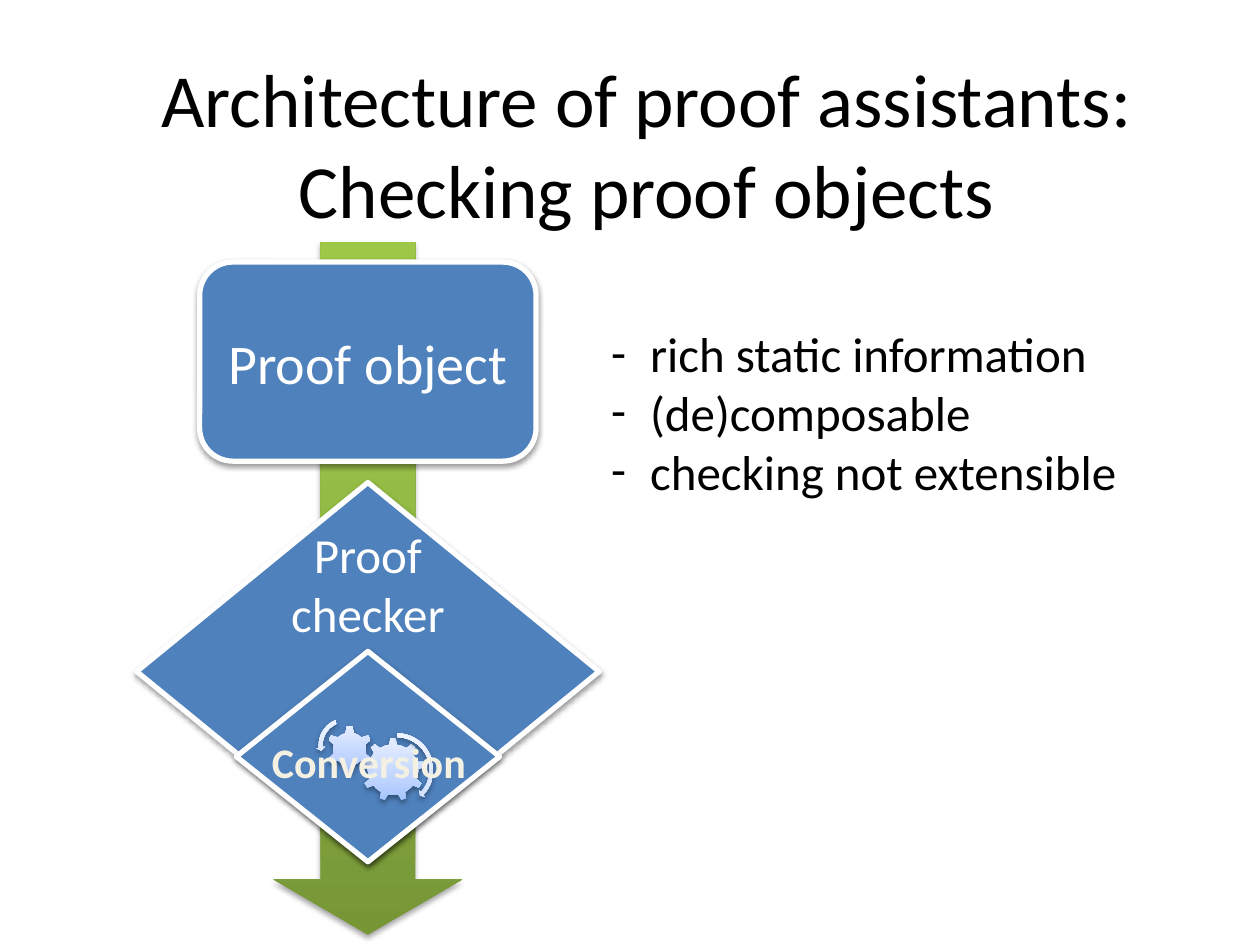
from lxml import etree
from pptx import Presentation
from pptx.dml.color import RGBColor
from pptx.enum.shapes import MSO_SHAPE
from pptx.enum.text import MSO_ANCHOR, MSO_AUTO_SIZE, PP_ALIGN
from pptx.oxml.ns import qn
from pptx.util import Emu, Inches, Pt

DOWN_ARROW, ROUND_RECT, DIAMOND = (
    MSO_SHAPE.DOWN_ARROW, MSO_SHAPE.ROUNDED_RECTANGLE, MSO_SHAPE.DIAMOND)
GEAR_6, GEAR_9 = MSO_SHAPE.GEAR_6, MSO_SHAPE.GEAR_9
TURN_RIGHT, TURN_LEFT = MSO_SHAPE.CIRCULAR_ARROW, MSO_SHAPE.LEFT_CIRCULAR_ARROW
TOP, MIDDLE, BOTTOM = MSO_ANCHOR.TOP, MSO_ANCHOR.MIDDLE, MSO_ANCHOR.BOTTOM
CENTER, LEFT = PP_ALIGN.CENTER, PP_ALIGN.LEFT
NO_FIT, GROW = MSO_AUTO_SIZE.NONE, MSO_AUTO_SIZE.SHAPE_TO_FIT_TEXT

FONT = "Calibri"
COLORS = {"step": "4F81BD", "white": "FFFFFF", "black": "000000",
          "label": "F4F1E3", "label_edge": "054697"}
# Gradient stops run from bottom to top: (percent, colour)
FLOW_GREEN = [(0, "779737"), (80, "9BC348"), (100, "9DC746")]
GEAR_BLUE = [(0, "A4C4FF"), (35, "BFD4FF"), (100, "E6EEFF")]
TURN_BLUE = [(0, "CDDDFE"), (35, "DBE6FE"), (100, "F0F5FF")]
AXIS = 2.92  # centre of the flow, in inches


def rgb(name):
    return RGBColor.from_string(COLORS[name])


def on_axis(top, width, height):
    return AXIS - width / 2, top, width, height


def place(shape, box):
    shape.left, shape.top, shape.width, shape.height = map(Inches, box)


def add_color(parent, value):
    return etree.SubElement(parent, qn("a:srgbClr"), val=value)


def add_shadow(shape, opacity=38, distance=20000):
    shape.shadow.inherit = False
    effects = shape._element.spPr.find(qn("a:effectLst"))
    shadow = etree.SubElement(effects, qn("a:outerShdw"), blurRad="40000",
                              dist=str(distance), dir="5400000", rotWithShape="0")
    color = add_color(shadow, COLORS["black"])
    etree.SubElement(color, qn("a:alpha"), val=str(opacity * 1000))


def write(frame, lines, size, color, align=CENTER, anchor=MIDDLE, bold=False):
    frame.text = "\n".join(lines)
    frame.vertical_anchor = anchor
    for paragraph in frame.paragraphs:
        paragraph.alignment = align
        paragraph.space_before = Pt(0)
        font = paragraph.font
        font.name, font.size, font.bold = FONT, Pt(size), bold
        font.color.rgb = rgb(color)


def add_step(shapes, kind, box):
    step = shapes.add_shape(kind, *map(Inches, box))
    step.fill.solid()
    step.fill.fore_color.rgb = rgb("step")
    step.line.color.rgb = rgb("white")
    step.line.width = Pt(3)
    add_shadow(step)
    return step


def add_gradient_shape(shapes, kind, box, stops, adjustments=()):
    shape = shapes.add_shape(kind, *map(Inches, box))
    for index, value in enumerate(adjustments):
        shape.adjustments[index] = value
    shape.fill.gradient()
    shape.fill.gradient_angle = 90
    stop_list = shape._element.spPr.find(".//" + qn("a:gsLst"))
    stop_list.clear()
    for percent, value in stops:
        stop = etree.SubElement(stop_list, qn("a:gs"), pos=str(percent * 1000))
        add_color(stop, value)
    shape.line.fill.background()
    add_shadow(shape)
    return shape


def add_gears(shapes):
    gears = shapes.add_group_shape().shapes
    add_gradient_shape(gears, GEAR_9, (2.87, 5.86, 0.5, 0.5), GEAR_BLUE)
    add_gradient_shape(gears, GEAR_6, (2.59, 5.76, 0.37, 0.37), GEAR_BLUE)
    add_gradient_shape(gears, TURN_RIGHT, (2.84, 5.8, 0.62, 0.62), TURN_BLUE,
                       (0.049, 3.126, 25.891, 162.615, 0.057))
    add_gradient_shape(gears, TURN_LEFT, (2.51, 5.68, 0.47, 0.47), TURN_BLUE,
                       (0.065, 4.3, 104.891, 148.378, 0.075))


def fill_dash_list(body, box, lines):
    place(body, box)
    write(body.text_frame, lines, 28, "black", LEFT, TOP)
    body.text_frame.auto_size = GROW
    indent = Inches(0.31)
    for paragraph in body.text_frame.paragraphs:
        props = paragraph._p.get_or_add_pPr()
        props.set("marL", str(indent))
        props.set("indent", str(-indent))
        etree.SubElement(props, qn("a:buFont"), typeface=FONT)
        etree.SubElement(props, qn("a:buChar"), char="-")
        # Default run properties come last in the schema
        props.append(props.find(qn("a:defRPr")))
        # Placeholder styles outrank paragraph defaults when drawn
        for run in paragraph.runs:
            run.font.size = Pt(28)


def add_outlined_label(shapes, box, text):
    label = shapes.add_textbox(*map(Inches, box))
    frame = label.text_frame
    write(frame, [text], 24, "label", LEFT, TOP, bold=True)
    frame.word_wrap = False
    frame.auto_size = GROW
    run = frame.paragraphs[0].runs[0]
    run.font.bold = True
    edge = etree.Element(qn("a:ln"), w=str(Pt(1)))
    add_color(etree.SubElement(edge, qn("a:solidFill")), COLORS["label_edge"])
    run._r.get_or_add_rPr().insert(0, edge)


def main():
    deck = Presentation()
    deck.slide_width, deck.slide_height = Inches(10), Inches(7.5)
    slide = deck.slides.add_slide(deck.slide_layouts[1])
    shapes = slide.shapes

    # Title
    title = shapes.title
    place(title, (0.63, 0.35, 9, 1.57))
    write(title.text_frame, ["Architecture of proof assistants:",
                             "Checking proof objects"], 42.9, "black")
    title.text_frame.auto_size = NO_FIT
    for paragraph in title.text_frame.paragraphs:
        paragraph.runs[0].font.size = Pt(42.9)

    # Properties of proof objects
    fill_dash_list(slide.placeholders[1], (4.75, 2.52, 4.58, 1.51),
                   ["rich static information", "(de)composable",
                    "checking not extensible"])

    # Flow from proof object to checker
    flow = add_gradient_shape(shapes, DOWN_ARROW, on_axis(1.92, 1.5, 5.5),
                              FLOW_GREEN, (0.5, 0.293))
    flow.shadow.inherit = False
    add_shadow(flow, 35, 23000)
    proof = add_step(shapes, ROUND_RECT, on_axis(2.08, 2.67, 1.58))
    write(proof.text_frame, ["Proof object"], 32, "white")
    checker = add_step(shapes, DIAMOND, on_axis(3.83, 3.67, 3))
    write(checker.text_frame, ["Proof checker"], 28, "white", anchor=BOTTOM)
    checker.text_frame.margin_top = Emu(0)
    checker.text_frame.margin_bottom = Inches(0.98)

    # Conversion inside the checker
    add_step(shapes, DIAMOND, on_axis(5.17, 2.09, 1.67))
    add_gears(shapes)
    add_outlined_label(shapes, (2.06, 5.8, 1.76, 0.5), "Conversion")

    deck.save("out.pptx")


if __name__ == "__main__":
    main()
